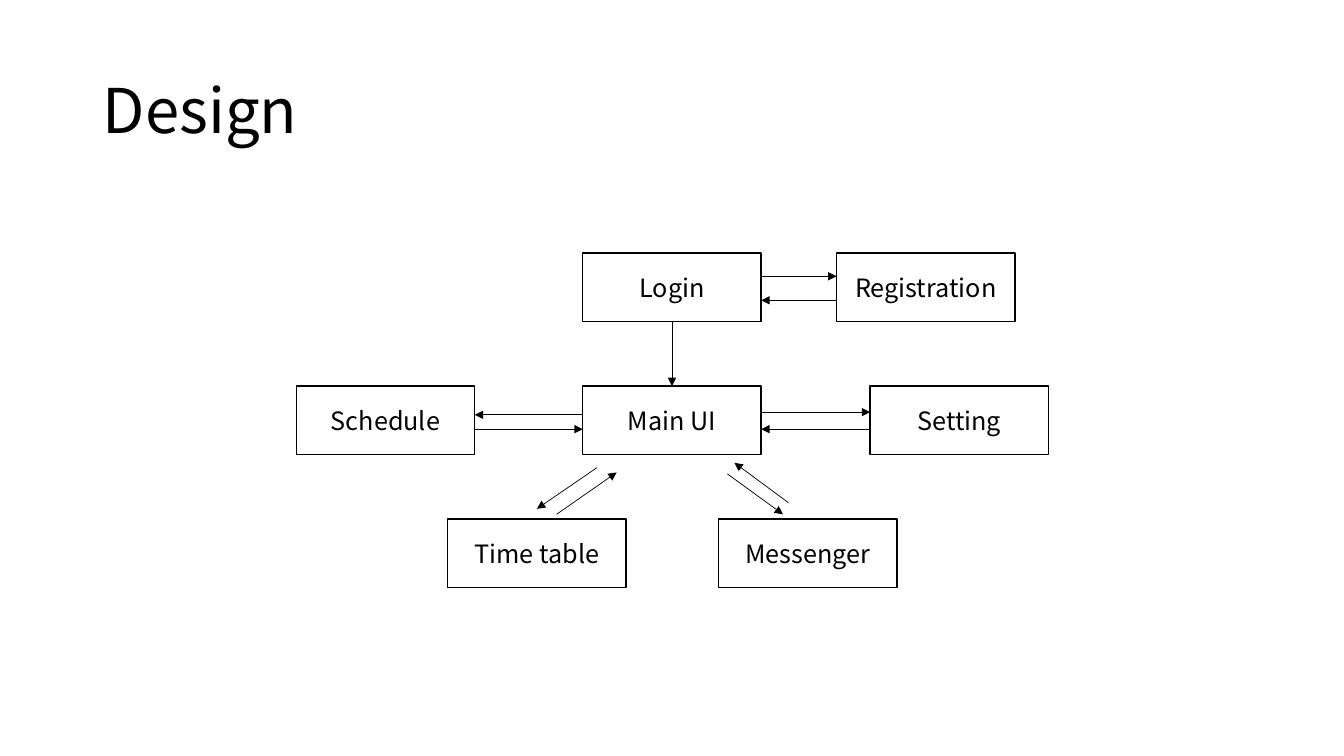
"""Build the Design slide: a screen-flow diagram of boxes joined by arrows."""
from dataclasses import dataclass

from lxml.etree import SubElement
from pptx import Presentation
from pptx.dml.color import RGBColor
from pptx.enum.shapes import MSO_CONNECTOR, MSO_SHAPE
from pptx.enum.text import MSO_ANCHOR, PP_ALIGN
from pptx.oxml.ns import qn
from pptx.util import Inches, Pt


@dataclass(frozen=True)
class Theme:
    """Fonts, type sizes, colours and line widths."""
    font: str = "Noto Sans CJK KR"
    title_size: float = 44
    box_size: float = 18
    ink: RGBColor = RGBColor(0, 0, 0)
    box_line: float = 1
    arrow_line: float = 0.5


@dataclass(frozen=True)
class Grid:
    """Place of the login box, box size and steps, in inches."""
    left: float = 5.78
    top: float = 2.51
    column: float = 0.95
    row: float = 1.32
    width: float = 1.77
    height: float = 0.68


THEME = Theme()
GRID = Grid()

BOXES = {
    "Login": (0, 0),
    "Registration": (2.65, 0),
    "Main UI": (0, 1),
    "Schedule": (-2.99, 1),
    "Setting": (3, 1),
    "Time table": (-1.41, 2),
    "Messenger": (1.42, 2),
}

SIDE_ARROWS = [
    ("Login", "Registration", 0.34),
    ("Registration", "Login", 0.69),
    ("Main UI", "Setting", 0.38),
    ("Setting", "Main UI", 0.63),
    ("Schedule", "Main UI", 0.63),
    ("Main UI", "Schedule", 0.42),
]

FREE_ARROWS = [
    ("Login", (0.5, 1), "Main UI", (0.5, 0)),
    ("Main UI", (0.08, 1.19), "Time table", (0.5, -0.15)),
    ("Time table", (0.61, -0.07), "Main UI", (0.19, 1.26)),
    ("Main UI", (0.81, 1.28), "Messenger", (0.36, -0.07)),
    ("Messenger", (0.39, -0.24), "Main UI", (0.85, 1.12)),
]


def box_point(name, share):
    """Return the point at the given shares of a box's width and height."""
    column, row = BOXES[name]
    return (Inches(GRID.left + column * GRID.column + share[0] * GRID.width),
            Inches(GRID.top + row * GRID.row + share[1] * GRID.height))


def add_text(paragraph, text, size):
    """Add one run in the theme's font and ink."""
    run = paragraph.add_run()
    run.text = text
    run.font.name = THEME.font
    run.font.size = Pt(size)
    run.font.color.rgb = THEME.ink


def set_title(slide, text):
    """Move, format and fill the title placeholder."""
    title = slide.shapes.title
    title.left, title.top = Inches(0.92), Inches(0.4)
    title.width, title.height = Inches(11.5), Inches(1.45)
    title.text_frame.vertical_anchor = MSO_ANCHOR.MIDDLE
    paragraph = title.text_frame.paragraphs[0]
    paragraph.alignment = PP_ALIGN.LEFT
    paragraph.line_spacing = 0.9
    add_text(paragraph, text, THEME.title_size)


def add_box(slide, name):
    """Draw one named screen as an outlined box."""
    shape = slide.shapes.add_shape(MSO_SHAPE.RECTANGLE, *box_point(name, (0, 0)),
                                   Inches(GRID.width), Inches(GRID.height))
    shape.shadow.inherit = False
    shape.fill.background()
    shape.line.color.rgb = THEME.ink
    shape.line.width = Pt(THEME.box_line)
    shape.text_frame.vertical_anchor = MSO_ANCHOR.MIDDLE
    paragraph = shape.text_frame.paragraphs[0]
    paragraph.alignment = PP_ALIGN.CENTER
    add_text(paragraph, name, THEME.box_size)


def add_arrow(slide, source, source_share, target, target_share):
    """Draw a thin arrow between points given as shares of two boxes."""
    arrow = slide.shapes.add_connector(
        MSO_CONNECTOR.STRAIGHT,
        *box_point(source, source_share), *box_point(target, target_share))
    arrow.line.color.rgb = THEME.ink
    arrow.line.width = Pt(THEME.arrow_line)
    properties = arrow.element.spPr
    SubElement(properties.find(qn("a:ln")), qn("a:tailEnd"), type="triangle")
    SubElement(properties, qn("a:effectLst"))


def add_side_arrow(slide, source, target, height):
    """Join the facing sides of two boxes in one row at a share of height."""
    rightward = BOXES[source][0] < BOXES[target][0]
    start, end = (1, 0) if rightward else (0, 1)
    add_arrow(slide, source, (start, height), target, (end, height))


def main():
    """Build the slide and save it."""
    presentation = Presentation()
    presentation.slide_width = Inches(13.33)
    presentation.slide_height = Inches(7.5)
    title_only = presentation.slide_layouts.get_by_name("Title Only")
    slide = presentation.slides.add_slide(title_only)
    set_title(slide, "Design")
    for name in BOXES:
        add_box(slide, name)
    for side_arrow in SIDE_ARROWS:
        add_side_arrow(slide, *side_arrow)
    for free_arrow in FREE_ARROWS:
        add_arrow(slide, *free_arrow)
    presentation.save("out.pptx")


main()
